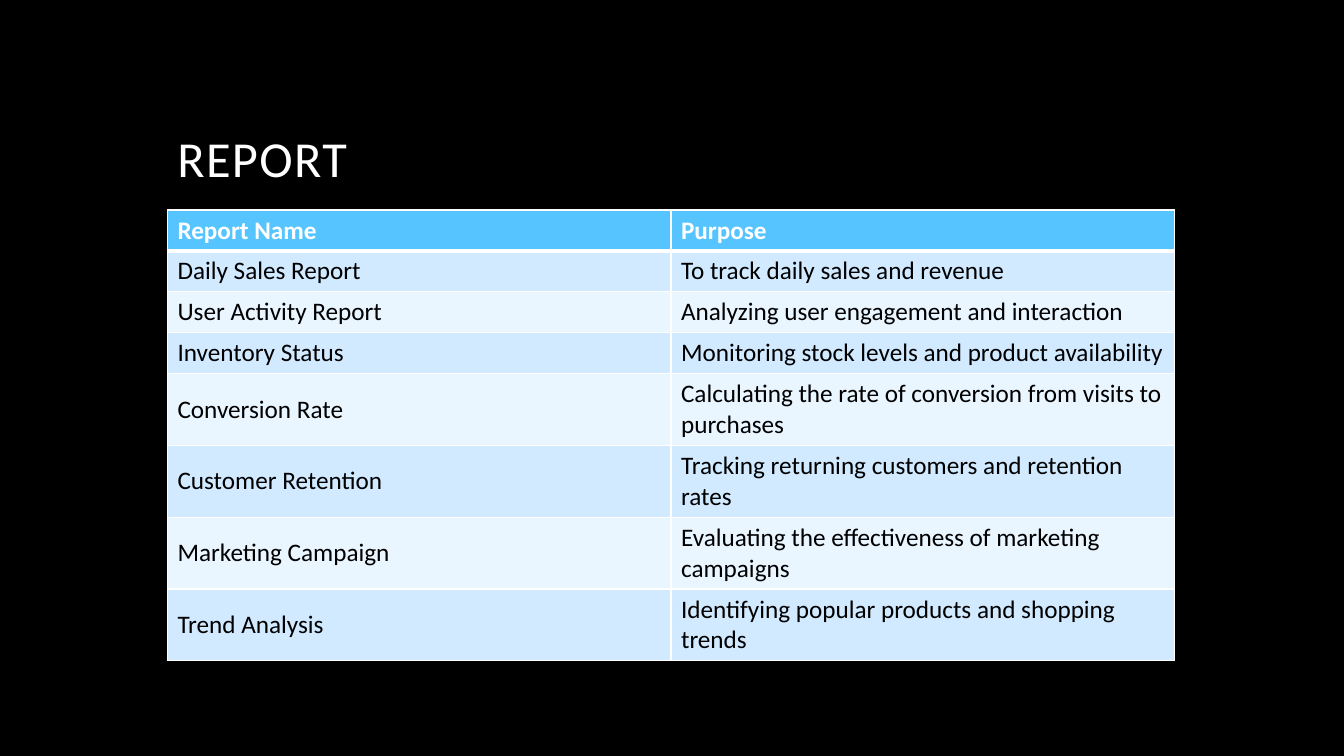
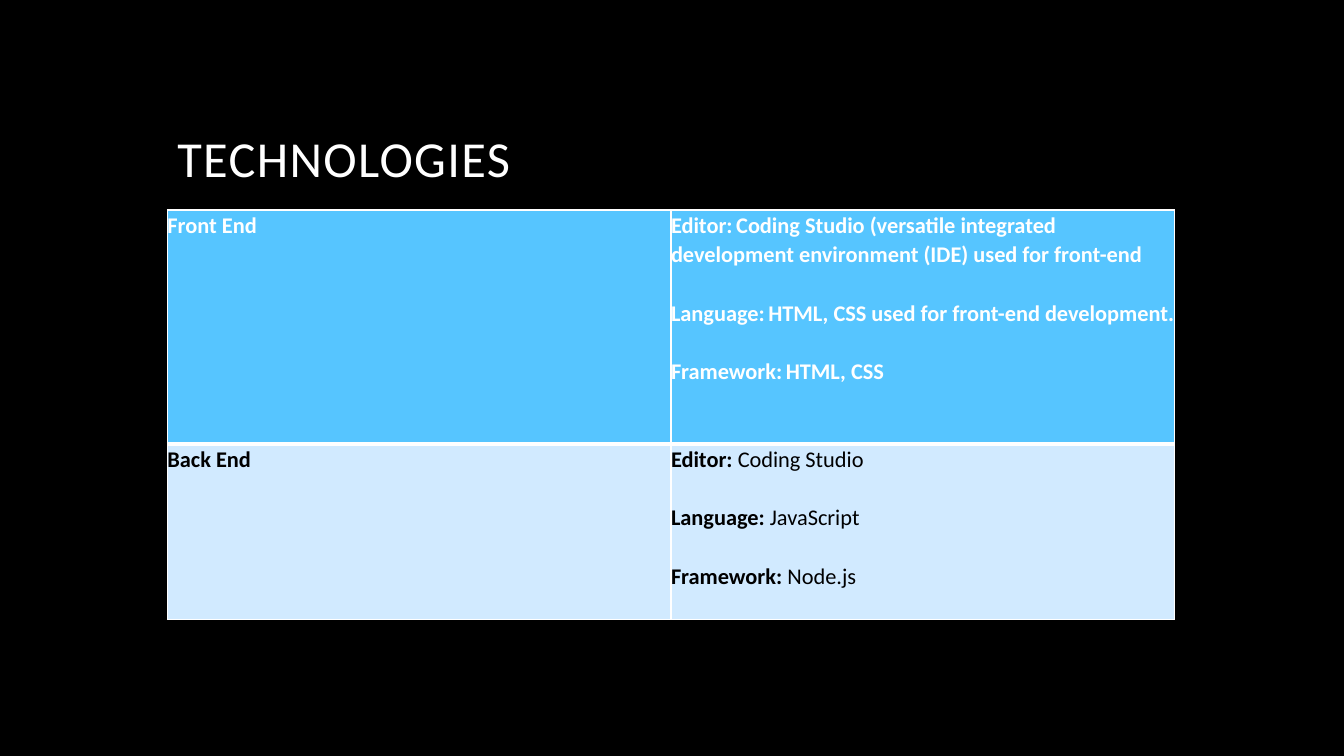
from dataclasses import dataclass

from lxml import etree
from pptx import Presentation
from pptx import util as u
from pptx.dml.color import RGBColor
from pptx.enum import text
from pptx.oxml import ns


@dataclass(frozen=True)
class Theme:
    font: str = "Calibri"
    background: str = "000000"
    light: str = "FFFFFF"
    dark: str = "000000"
    header: str = "56C5FF"
    bands: tuple = ("D1EAFF", "E9F5FF")
    title_size: float = 36
    report_size: float = 18
    technology_size: float = 16
    small_gap_size: float = 11
    thin: float = 1
    thick: float = 3


THEME = Theme()
LEFT = u.Cm(4.22)
TABLE_TOP = u.Cm(5.29)
COLUMN_WIDTH = u.Cm(12.69)
ONE_LINE, TWO_LINES = 1.03, 1.81

REPORTS = [
    ("Report Name", "Purpose", ONE_LINE),
    ("Daily Sales Report", "To track daily sales and revenue", ONE_LINE),
    ("User Activity Report", "Analyzing user engagement and interaction", ONE_LINE),
    ("Inventory Status", "Monitoring stock levels and product availability", ONE_LINE),
    ("Conversion Rate", "Calculating the rate of conversion from visits to purchases", TWO_LINES),
    ("Customer Retention", "Tracking returning customers and retention rates", TWO_LINES),
    ("Marketing Campaign", "Evaluating the effectiveness of marketing campaigns", TWO_LINES),
    ("Trend Analysis", "Identifying popular products and shopping trends", TWO_LINES),
]

TECHNOLOGIES = [
    ("Front End", [
        ("Editor:", "Coding Studio (versatile integrated development environment (IDE) "
                    "used for front-end"),
        ("Language:", "HTML, CSS used for front-end development."),
        ("Framework:", "HTML, CSS"),
    ], 5.9),
    ("Back End", [
        ("Editor:", "Coding Studio"),
        ("Language:", "JavaScript"),
        ("Framework:", "Node.js"),
    ], 4.43),
]


def rgb(colour):
    return RGBColor.from_string(colour)


def add_run(paragraph, words, size, colour, bold=False):
    run = paragraph.add_run()
    run.text = words
    run.font.name = THEME.font
    run.font.size = u.Pt(size)
    run.font.bold = bold
    run.font.color.rgb = rgb(colour)
    return run


def add_titled_slide(presentation, title):
    slide = presentation.slides.add_slide(presentation.slide_layouts[6])
    shape = slide.shapes.add_textbox(LEFT, u.Cm(1.07), u.Cm(25.4), u.Cm(3.81))
    frame = shape.text_frame
    frame.word_wrap = True
    frame.vertical_anchor = text.MSO_ANCHOR.BOTTOM
    paragraph = frame.paragraphs[0]
    paragraph.line_spacing = 0.9
    run = add_run(paragraph, title, THEME.title_size, THEME.light)
    run.font._element.set("spc", "100")
    return slide


def set_borders(cell, top, bottom):
    properties = cell._tc.get_or_add_tcPr()
    widths = {"lnL": THEME.thin, "lnR": THEME.thin, "lnT": top, "lnB": bottom}
    for side, width in widths.items():
        line = etree.SubElement(properties, ns.qn(f"a:{side}"), w=str(u.Pt(width)))
        fill = etree.SubElement(line, ns.qn("a:solidFill"))
        etree.SubElement(fill, ns.qn("a:srgbClr"), val=THEME.light)


def add_grid(slide, heights):
    """Add a two-column table with a header row and banded rows; heights are in cm."""
    total = u.Cm(sum(heights))
    table = slide.shapes.add_table(
        len(heights), 2, LEFT, TABLE_TOP, 2 * COLUMN_WIDTH, total).table
    for column in table.columns:
        column.width = COLUMN_WIDTH
    for index, height in enumerate(heights):
        table.rows[index].height = u.Cm(height)
        fill = THEME.bands[(index - 1) % 2] if index else THEME.header
        top = THEME.thick if index == 1 else THEME.thin
        bottom = THEME.thin if index else THEME.thick
        for cell in table.rows[index].cells:
            set_borders(cell, top, bottom)
            cell.fill.solid()
            cell.fill.fore_color.rgb = rgb(fill)
    return table


def row_colour(index):
    return THEME.dark if index else THEME.light


def add_report_slide(presentation):
    slide = add_titled_slide(presentation, "REPORT")
    table = add_grid(slide, [height for *_, height in REPORTS])
    for index, (*words, _) in enumerate(REPORTS):
        for cell, entry in zip(table.rows[index].cells, words):
            cell.vertical_anchor = text.MSO_ANCHOR.MIDDLE if index else text.MSO_ANCHOR.BOTTOM
            add_run(cell.text_frame.paragraphs[0], entry, THEME.report_size,
                    row_colour(index), bold=index == 0)


def add_spaced_paragraph(frame, first):
    paragraph = frame.paragraphs[0] if first else frame.add_paragraph()
    paragraph.line_spacing = 1.07
    if not first:
        paragraph.space_before = u.Pt(20.9)
    return paragraph


def add_technology_slide(presentation):
    slide = add_titled_slide(presentation, "TECHNOLOGIES")
    table = add_grid(slide, [height for *_, height in TECHNOLOGIES])
    size = THEME.technology_size
    for index, (name, details, _) in enumerate(TECHNOLOGIES):
        colour = row_colour(index)
        name_cell, detail_cell = table.rows[index].cells
        for cell in (name_cell, detail_cell):
            cell.margin_left = cell.margin_right = cell.margin_top = cell.margin_bottom = 0
        add_run(add_spaced_paragraph(name_cell.text_frame, True), name, size, colour, True)
        gap_size = size if index else THEME.small_gap_size
        for position, (label, detail) in enumerate(details):
            paragraph = add_spaced_paragraph(detail_cell.text_frame, position == 0)
            add_run(paragraph, label, size, colour, True)
            add_run(paragraph, " ", gap_size, colour, True)
            add_run(paragraph, detail, size, colour, index == 0)


def main():
    presentation = Presentation()
    presentation.slide_width = u.Cm(33.87)
    presentation.slide_height = u.Cm(19.05)
    background = presentation.slide_master.background.fill
    background.solid()
    background.fore_color.rgb = rgb(THEME.background)
    add_report_slide(presentation)
    add_technology_slide(presentation)
    presentation.save("out.pptx")


if __name__ == "__main__":
    main()
